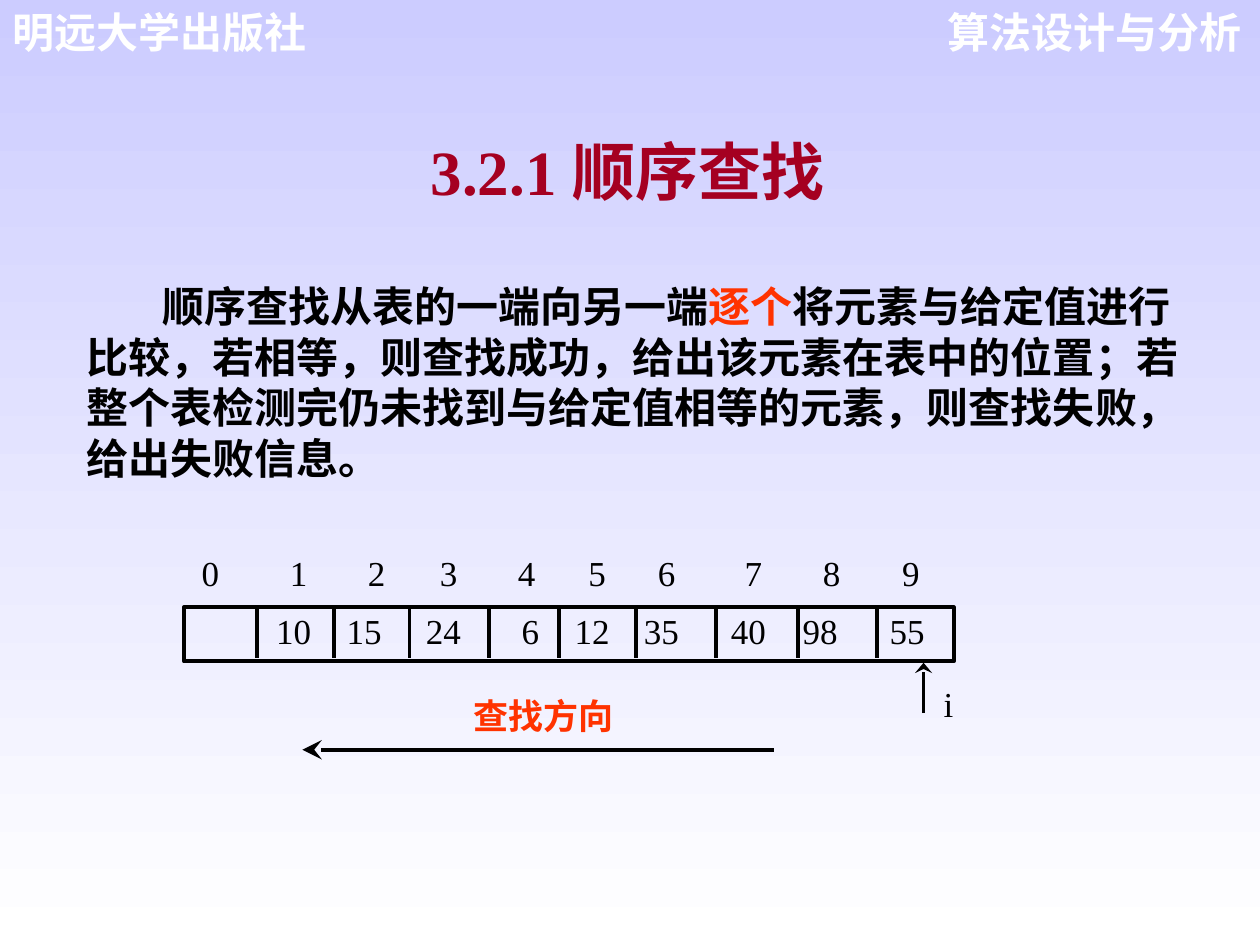
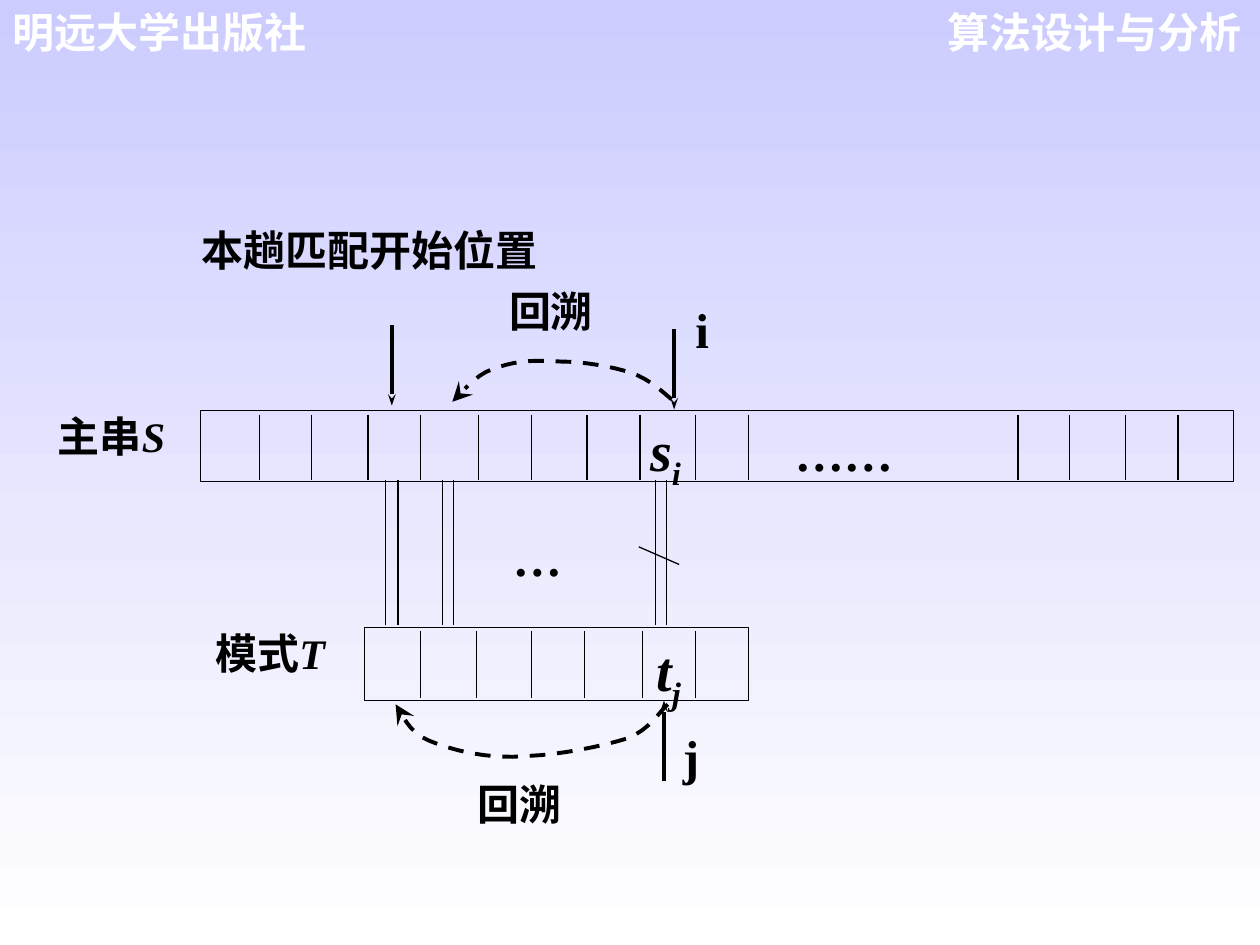
from dataclasses import dataclass
from itertools import pairwise

from lxml.etree import SubElement
from pptx import Presentation
from pptx.dml.color import RGBColor
from pptx.enum.dml import MSO_LINE
from pptx.enum.shapes import MSO_CONNECTOR, MSO_SHAPE
from pptx.enum.text import MSO_ANCHOR, MSO_AUTO_SIZE, PP_ALIGN
from pptx.oxml.ns import qn
from pptx.util import Inches, Pt


@dataclass(frozen=True)
class Theme:
    sky: str = "CCCCFF"
    white: str = "FFFFFF"
    ink: str = "000000"
    title: str = "A50021"
    accent: str = "FF3300"
    serif: str = "Times New Roman"
    sans: str = "Arial"
    title_size: int = 36
    symbol_size: int = 32
    pointer_size: int = 28
    body_size: int = 24
    cell_size: int = 20
    thin: float = 0.75
    medium: float = 1.5
    thick: float = 2.25


THEME = Theme()
BOLD = {"bold": True}
BOLD_ITALIC = {"bold": True, "italic": True}
SUBSCRIPT = {**BOLD_ITALIC, "baseline": -25000}
ACCENT = {"bold": True, "color": THEME.accent}

# Running heads: text, left, alignment
HEADERS = [
    ("算法设计与分析", 7.24, PP_ALIGN.RIGHT),
    ("明远大学出版社", 0, PP_ALIGN.LEFT),
]

SEARCH_TITLE = "3.2.1 顺序查找"
SEARCH_BODY = [
    ("顺序查找从表的一端向另一端", BOLD),
    ("逐个", ACCENT),
    ("将元素与给定值进行比较，若相等，则查找成功，给出该元素在表中的位置；"
     "若整个表检测完仍未找到与给定值相等的元素，则查找失败，给出失败信息。", BOLD),
]
ARRAY_BOX = (1.46, 4.82, 6.11, 0.43)
ARRAY_DIVIDERS = [2.04, 2.65, 3.25, 3.88, 4.44, 5.05, 5.68, 6.33, 6.96]
# Centre of each index and of each stored value
INDEX_CENTRES = [1.67, 2.37, 2.99, 3.56, 4.18, 4.74, 5.29, 5.98, 6.6, 7.23]
VALUE_CENTRES = {10: 2.33, 15: 2.89, 24: 3.52, 6: 4.21, 12: 4.7,
                 35: 5.25, 40: 5.94, 98: 6.51, 55: 7.2}

# Strings: box, dividers
MAIN_STRING = ((1.59, 3.26, 8.2, 0.56),
               [2.06, 2.47, 2.92, 3.34, 3.8, 4.22, 4.66, 5.08, 5.52, 5.94,
                8.08, 8.49, 8.93, 9.35])
PATTERN = ((2.89, 4.98, 3.05, 0.58), [3.34, 3.78, 4.22, 4.64, 5.1, 5.52])
EQUAL_SIGNS = [(3.06, 3.16), (3.51, 3.6), (5.2, 5.29)]
MISMATCH = ((5.07, 4.34), (5.39, 4.48))
POINTERS = [((3.11, 2.58), (3.11, 3.22)),
            ((5.35, 2.61), (5.35, 3.25)),
            ((5.27, 6.2), (5.27, 5.56))]
# Backtracking curves: start, then three control points per segment
BACKTRACKS = [
    [(5.3, 5.59), (5.24, 5.64), (5.16, 5.79), (4.98, 5.86), (4.79, 5.92),
     (4.45, 5.99), (4.19, 6), (3.86, 6.03), (3.58, 5.95), (3.41, 5.88),
     (3.23, 5.81), (3.19, 5.65), (3.14, 5.59)],
    [(5.33, 3.17), (5.28, 3.13), (5.16, 3.01), (5.01, 2.96), (4.86, 2.91),
     (4.63, 2.87), (4.45, 2.87), (4.17, 2.85), (4.05, 2.88), (3.91, 2.93),
     (3.76, 2.98), (3.65, 3.14), (3.59, 3.19)],
]
# Labels: spans, left, top, width, size
MATCH_LABELS = [
    ([("本趟匹配开始位置", BOLD)], 1.6, 1.78, 3.75, THEME.body_size),
    ([("主串", BOLD), ("S", BOLD_ITALIC)], 0.46, 3.26, 1.08, THEME.body_size),
    ([("模式", BOLD), ("T", BOLD_ITALIC)], 1.71, 4.98, 1.42, THEME.body_size),
    ([("回溯", BOLD)], 3.79, 6.18, 1, THEME.body_size),
    ([("回溯", BOLD)], 4.04, 2.27, 1, THEME.body_size),
    ([("i", BOLD)], 5.52, 2.38, 0.3, THEME.pointer_size),
    ([("j", BOLD)], 5.42, 5.77, 0.3, THEME.pointer_size),
    ([("…", BOLD)], 4.07, 4.19, 0.61, THEME.pointer_size),
    ([("……", BOLD)], 6.31, 3.35, 1.2, THEME.pointer_size),
    ([("s", BOLD_ITALIC), ("i", SUBSCRIPT)], 5.16, 3.3, 0.6, THEME.symbol_size),
    ([("t", BOLD_ITALIC), ("j", SUBSCRIPT)], 5.21, 5.04, 0.6, THEME.symbol_size),
]


def place(shape, left, top, width, height):
    for side, value in zip(("left", "top", "width", "height"),
                           (left, top, width, height)):
        setattr(shape, side, Inches(value))


def write(shape, spans, size, align=PP_ALIGN.LEFT, inset=(0, 0),
          anchor=MSO_ANCHOR.TOP, font=THEME.serif):
    """Fill a shape with one paragraph made of (text, format) spans."""
    frame = shape.text_frame
    across, down = (Inches(value) for value in inset)
    settings = {"word_wrap": True, "auto_size": MSO_AUTO_SIZE.NONE,
                "vertical_anchor": anchor, "margin_left": across,
                "margin_right": across, "margin_top": down, "margin_bottom": down}
    for name, value in settings.items():
        setattr(frame, name, value)
    para = frame.paragraphs[0]
    para.alignment = align
    para.space_before = Pt(0)
    for text, style in spans:
        span = para.add_run()
        span.text = text
        values = {"size": Pt(size), "name": font, **style}
        color = values.pop("color", THEME.ink)
        baseline = values.pop("baseline", None)
        for name, value in values.items():
            setattr(span.font, name, value)
        span.font.color.rgb = RGBColor.from_string(color)
        if baseline is not None:
            span._r.get_or_add_rPr().set("baseline", str(baseline))
    return para


def add_label(page, spans, left, top, width, size, height=0.5, **options):
    box = page.shapes.add_textbox(0, 0, 0, 0)
    place(box, left, top, width, height)
    write(box, spans, size, **options)


def add_centred_label(page, text, centre, top):
    width = 0.5
    add_label(page, [(str(text), {})], centre - width / 2, top, width,
              THEME.cell_size, height=0.35, align=PP_ALIGN.CENTER)


def stroke(shape, width, arrow=None, dash=None):
    """Style a line; arrow is the (width, length) of the head at its end."""
    line = shape.line
    line.color.rgb = RGBColor.from_string(THEME.ink)
    line.width = Pt(width)
    if dash:
        line.dash_style = dash
    if arrow:
        SubElement(line._get_or_add_ln(), qn("a:tailEnd"),
                   type="stealth", w=arrow[0], len=arrow[1])
    SubElement(shape._element.spPr, qn("a:effectLst"))


def add_line(page, start, end, width, arrow=None):
    points = [Inches(value) for value in (*start, *end)]
    stroke(page.shapes.add_connector(MSO_CONNECTOR.STRAIGHT, *points), width, arrow)


def add_cells(page, box, dividers, line_top, line_bottom, width):
    outline = page.shapes.add_shape(MSO_SHAPE.RECTANGLE, 0, 0, 0, 0)
    place(outline, *box)
    outline.fill.background()
    stroke(outline, width)
    for x in dividers:
        add_line(page, (x, line_top), (x, line_bottom), width)


def bezier(points, t):
    weights = ((1 - t) ** 3, 3 * t * (1 - t) ** 2, 3 * t * t * (1 - t), t ** 3)
    return tuple(Inches(sum(weight * point[axis]
                            for weight, point in zip(weights, points)))
                 for axis in (0, 1))


def add_backtrack(page, controls, steps=8):
    knots = range(0, len(controls), 3)
    points = [bezier(controls[first:last + 1], step / steps)
              for first, last in pairwise(knots) for step in range(1, steps + 1)]
    builder = page.shapes.build_freeform(*(Inches(value) for value in controls[0]))
    builder.add_line_segments(points, close=False)
    curve = builder.convert_to_shape()
    curve.fill.background()
    stroke(curve, THEME.thick, ("lg", "lg"), MSO_LINE.DASH)


def set_background(master):
    fill = master.background.fill
    fill.gradient()
    fill.gradient_angle = 270
    for stop, color in zip(fill.gradient_stops, (THEME.sky, THEME.white)):
        stop.color.rgb = RGBColor.from_string(color)


def add_page(deck, layout):
    page = deck.slides.add_slide(deck.slide_layouts.get_by_name(layout))
    for text, left, align in HEADERS:
        add_label(page, [(text, {"bold": True, "color": THEME.white})],
                  left, 0, 2.71, THEME.body_size, align=align,
                  inset=(0.1, 0.05), font=THEME.sans)
    return page


def build_sequential_search(deck):
    page = add_page(deck, "Title and Content")
    title, body = page.placeholders
    place(title, 0.52, 1, 8.92, 0.7)
    write(title, [(SEARCH_TITLE, {"bold": True, "color": THEME.title})],
          THEME.title_size, PP_ALIGN.CENTER, (0.1, 0.05), MSO_ANCHOR.MIDDLE)
    place(body, 0.59, 2.18, 9.08, 1.7)
    para = write(body, SEARCH_BODY, THEME.body_size, inset=(0.1, 0.05))
    properties = para._p.get_or_add_pPr()
    properties.set("marL", "0")
    properties.set("indent", str(Inches(0.6)))
    SubElement(properties, qn("a:buNone"))

    add_cells(page, ARRAY_BOX, ARRAY_DIVIDERS, 4.82, 5.22, THEME.thick)
    for index, centre in enumerate(INDEX_CENTRES):
        add_centred_label(page, index, centre, 4.38)
    for value, centre in VALUE_CENTRES.items():
        add_centred_label(page, value, centre, 4.84)
    add_line(page, (7.33, 5.66), (7.33, 5.26), THEME.medium, ("lg", "med"))
    add_label(page, [("i", {})], 7.49, 5.42, 0.34, THEME.cell_size)
    add_label(page, [("查找方向", ACCENT)], 3.76, 5.51, 1.36, THEME.cell_size)
    add_line(page, (6.14, 5.95), (2.4, 5.95), THEME.thick, ("lg", "lg"))


def build_string_matching(deck):
    page = add_page(deck, "Blank")
    add_cells(page, *MAIN_STRING, 3.29, 3.81, THEME.thin)
    add_cells(page, *PATTERN, 5.01, 5.54, THEME.thin)
    for pair in EQUAL_SIGNS:
        for x in pair:
            add_line(page, (x, 3.81), (x, 4.96), THEME.thin)
    add_line(page, *MISMATCH, THEME.thin)
    for start, end in POINTERS:
        add_line(page, start, end, THEME.thick, ("sm", "med"))
    for controls in BACKTRACKS:
        add_backtrack(page, controls)
    for label in MATCH_LABELS:
        add_label(page, *label)


def main():
    deck = Presentation()
    deck.slide_width, deck.slide_height = Inches(10), Inches(7.5)
    set_background(deck.slide_master)
    build_sequential_search(deck)
    build_string_matching(deck)
    deck.save("out.pptx")


if __name__ == "__main__":
    main()
